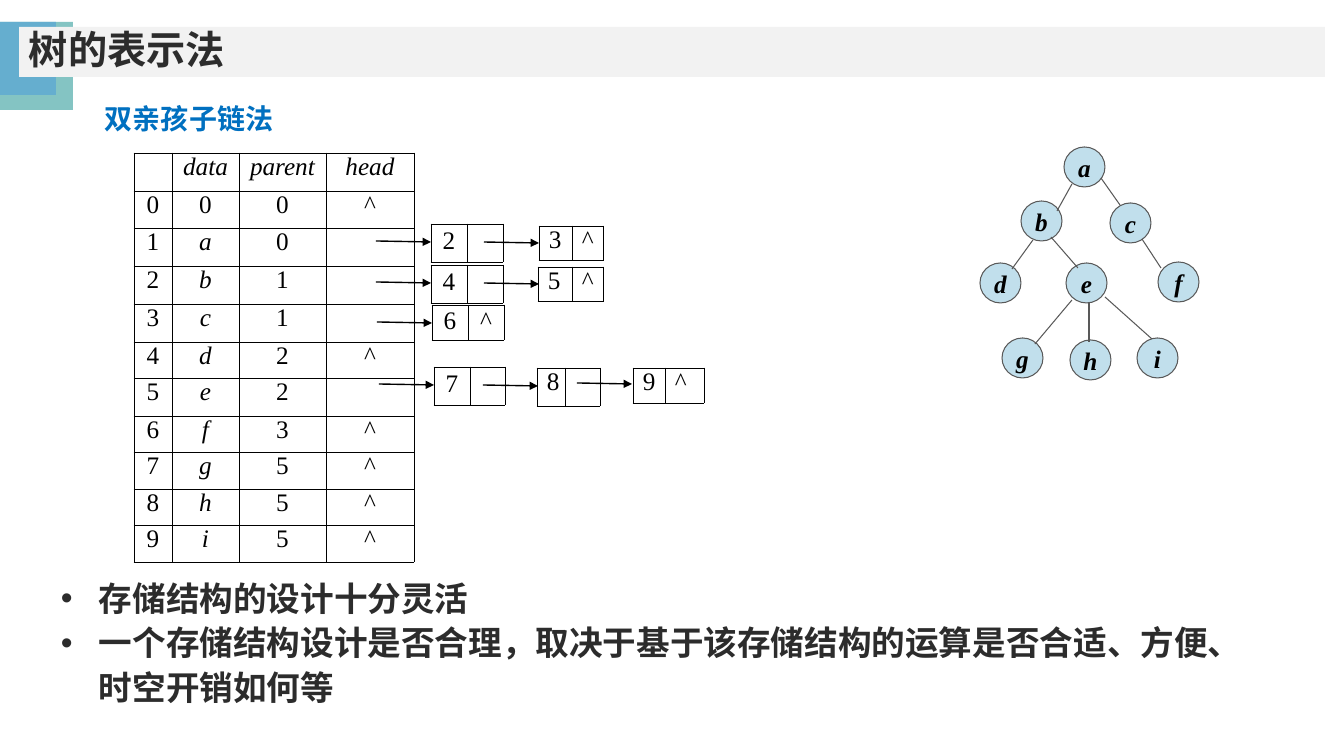
"""Builds the slide on storing a tree with parent and child links."""
from lxml.etree import SubElement
from pptx import Presentation
from pptx.dml.color import RGBColor
from pptx.enum.shapes import MSO_CONNECTOR, MSO_SHAPE
from pptx.enum.text import MSO_ANCHOR, PP_ALIGN
from pptx.oxml.ns import qn
from pptx.util import Pt

SCALE = 914400 / 100.8
CJK = "Noto Sans CJK SC"
SERIF = "Times New Roman"
TITLE = {"size": Pt(28), "name": "Arial", "bold": True}
HEAD = {"size": Pt(20), "name": CJK, "bold": True}
NOTE = {"size": Pt(24), "name": SERIF, "bold": True}
CELL = {"size": Pt(18), "name": SERIF}
NODE = {**CELL, "bold": True, "italic": True}

HEADS = ["", "data", "parent", "head"]
ITEMS = ["0", *"abcdefghi"]
PARENTS = "0011223555"
PARENTED = {"1", "2", "3", "5"}
COLS = [38, 67, 87, 88]
ROWS = [38, 37, 38, 38, 38, 36, 38, 36, 37, 36, 37]

CHAINS = [
    (431, 224, [36, 36], 38, ["2", ""], True),
    (539, 226, [33, 31], 34, ["3", "^"], False),
    (431, 265, [36, 36], 38, ["4", ""], True),
    (538, 267, [34, 31], 34, ["5", "^"], False),
    (432, 305, [36, 36], 35, ["6", "^"], True),
    (434, 367, [36, 35], 38, ["7", ""], True),
    (537, 368, [28, 35], 38, ["8", ""], False),
    (633, 368, [32, 39], 35, ["9", "^"], False),
]
ARROWS = [(376, 241), (484, 242), (376, 282), (484, 283),
          (377, 322), (379, 384), (483, 385), (577, 383)]
NODES = {"a": (1064, 147), "b": (1021, 201), "c": (1110, 203),
         "d": (980, 263), "e": (1066, 263), "f": (1158, 262),
         "h": (1070, 340), "g": (1002, 338), "i": (1137, 338)}
EDGES = [(1072, 184, 1057, 211), (1033, 240, 1012, 269),
         (1101, 178, 1120, 205), (1051, 237, 1078, 268),
         (1142, 239, 1161, 268), (1089, 302, 1089, 342),
         (1072, 300, 1035, 344), (1105, 297, 1152, 339)]
NOTES = ["存储结构的设计十分灵活",
         "一个存储结构设计是否合理，取决于基于该存储结构的运算是否合适、方便、时空开销如何等"]


def px(*nums):
    """Turn pixel lengths into EMU."""
    return [round(num * SCALE) for num in nums]


def tint(code):
    """Turn a hex string into a colour."""
    return RGBColor.from_string(code)


def apply(item, style):
    """Set each value of a dict as an attribute."""
    for key, value in style.items():
        setattr(item, key, value)


def write(para, text, style, color):
    """Add one styled run to a paragraph."""
    run = para.add_run()
    run.text = text
    apply(run.font, style)
    run.font.color.rgb = tint(color)
    SubElement(run.font._element, qn("a:ea"), typeface=CJK)


def shape(slide, kind, box, fill, line=None):
    """Add a flat preset shape."""
    item = slide.shapes.add_shape(kind, *px(*box))
    item.shadow.inherit = False
    item.fill.solid()
    item.fill.fore_color.rgb = tint(fill)
    if line:
        item.line.color.rgb = tint(line)
        item.line.width = Pt(0.75)
    else:
        item.line.fill.background()
    return item


def link(slide, ends, color, width, arrow=False):
    """Add a straight line, with an arrowhead if asked."""
    item = slide.shapes.add_connector(MSO_CONNECTOR.STRAIGHT, *px(*ends))
    item.line.color.rgb = tint(color)
    item.line.width = Pt(width)
    if arrow:
        SubElement(item.line._get_or_add_ln(), qn("a:tailEnd"), type="triangle")
    SubElement(item._element.spPr, qn("a:effectLst"))


def frame(cell):
    """Draw thin black borders round a cell with no fill."""
    props = cell._tc.get_or_add_tcPr()
    for side in ("lnL", "lnR", "lnT", "lnB"):
        edge = SubElement(props, qn(f"a:{side}"), w="6350")
        fill = SubElement(edge, qn("a:solidFill"))
        SubElement(fill, qn("a:srgbClr"), val="000000")
    cell.fill.background()


def table(slide, spot, cols, rows, texts, center=True, middle=False):
    """Add a bordered table of short labels."""
    box = px(*spot, sum(cols), sum(rows))
    grid = slide.shapes.add_table(len(rows), len(cols), *box).table
    apply(grid, {"first_row": False, "horz_banding": False})
    for col, size in zip(grid.columns, px(*cols)):
        col.width = size
    for row, size in zip(grid.rows, px(*rows)):
        row.height = size
    side = px(2 if center else 10)[0]
    look = {"margin_left": side, "margin_right": px(2)[0],
            "vertical_anchor": MSO_ANCHOR.MIDDLE if middle else MSO_ANCHOR.TOP}
    align = PP_ALIGN.CENTER if center else PP_ALIGN.LEFT
    for cell, text in zip(grid.iter_cells(), texts):
        apply(cell, look)
        frame(cell)
        para = cell.text_frame.paragraphs[0]
        apply(para, {"alignment": align, "line_spacing": 0.8})
        if text:
            write(para, text, {**CELL, "italic": text.isalpha()}, "000000")
        else:
            apply(cell, {"margin_top": 0, "margin_bottom": 0})
            mark = SubElement(para._p, qn("a:endParaRPr"), sz="1200")
            SubElement(mark, qn("a:latin"), typeface=SERIF)


def banner(slide):
    """Draw the title bar with its corner squares."""
    rect = MSO_SHAPE.RECTANGLE
    shape(slide, rect, (0, 22, 73, 88), "84C4C3")
    shape(slide, rect, (0, 22, 56, 73), "65AECF")
    text = shape(slide, rect, (19, 27, 1306, 50), "F2F2F2").text_frame
    apply(text, {"word_wrap": True, "vertical_anchor": MSO_ANCHOR.MIDDLE})
    para = text.paragraphs[0]
    apply(para, {"alignment": PP_ALIGN.LEFT, "line_spacing": 0.9})
    write(para, "树的表示法", TITLE, "2C2C2C")


def label(slide):
    """Add the name of the method."""
    text = slide.shapes.add_textbox(*px(95, 97, 191, 44)).text_frame
    text.word_wrap = False
    write(text.paragraphs[0], "双亲孩子链法", HEAD, "0070C0")


def node(slide, name, spot):
    """Add one round tree node."""
    item = shape(slide, MSO_SHAPE.OVAL, (*spot, 41, 40), "C1DFEC", "595959")
    text = item.text_frame
    apply(text, {"word_wrap": False, "vertical_anchor": MSO_ANCHOR.MIDDLE})
    text.paragraphs[0].alignment = PP_ALIGN.CENTER
    write(text.paragraphs[0], name, NODE, "000000")


def points(slide):
    """Add the bulleted remarks."""
    text = slide.shapes.add_textbox(*px(61, 575, 1200, 131)).text_frame
    apply(text, {"word_wrap": True, "vertical_anchor": MSO_ANCHOR.MIDDLE,
                 "margin_left": 0, "margin_right": 0,
                 "margin_top": 0, "margin_bottom": 0})
    dent = px(38)[0]
    for num, note in enumerate(NOTES):
        para = text.add_paragraph() if num else text.paragraphs[0]
        para.line_spacing = 1.1
        props = para._p.get_or_add_pPr()
        props.set("marL", str(dent))
        props.set("indent", str(-dent))
        SubElement(props, qn("a:buFont"), typeface="Arial")
        SubElement(props, qn("a:buChar"), char="•")
        write(para, note, NOTE, "2C2C2C")


def main():
    """Build and save the slide."""
    deck = Presentation()
    deck.slide_width, deck.slide_height = px(1344, 756)
    slide = deck.slides.add_slide(deck.slide_layouts[6])
    banner(slide)
    label(slide)
    texts = list(HEADS)
    for num, (item, parent) in enumerate(zip(ITEMS, PARENTS)):
        key = str(num)
        texts += [key, item, parent, "" if key in PARENTED else "^"]
    table(slide, (134, 153), COLS, ROWS, texts)
    for left, top, cols, height, cells, first in CHAINS:
        table(slide, (left, top), cols, [height], cells, first, first)
    for left, top in ARROWS:
        link(slide, (left, top, left + 55, top + 1), "000000", 1, True)
    for name, spot in NODES.items():
        node(slide, name, spot)
    for ends in EDGES:
        link(slide, ends, "595959", 0.75)
    points(slide)
    deck.save("out.pptx")


if __name__ == "__main__":
    main()
